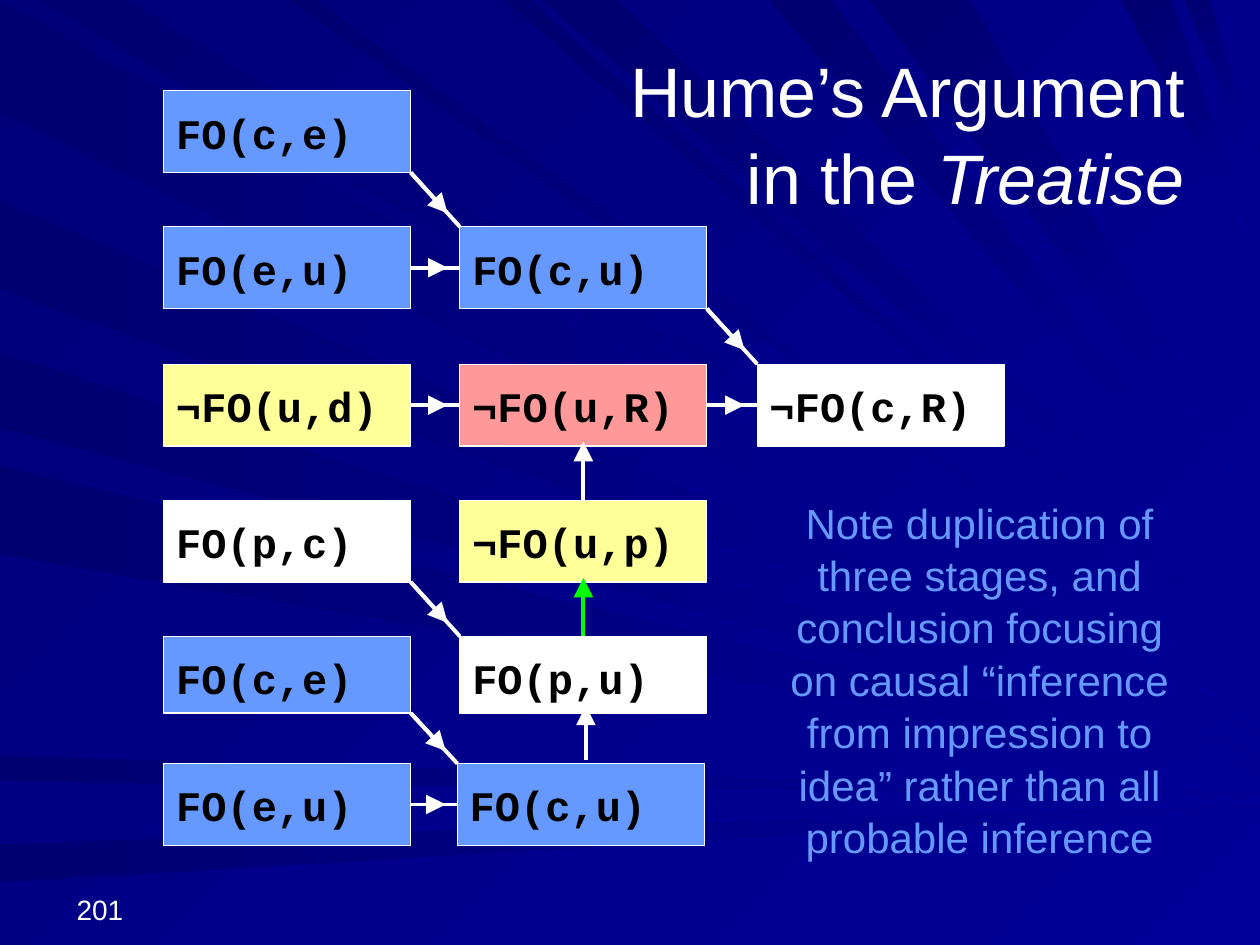
from lxml import etree
from pptx import Presentation
from pptx.dml.color import RGBColor
from pptx.enum.shapes import MSO_CONNECTOR, MSO_SHAPE
from pptx.enum.text import MSO_ANCHOR, PP_ALIGN
from pptx.oxml.ns import qn
from pptx.util import Inches, Pt

RECT, STRAIGHT = MSO_SHAPE.RECTANGLE, MSO_CONNECTOR.STRAIGHT
LEFT, CENTER, RIGHT = PP_ALIGN.LEFT, PP_ALIGN.CENTER, PP_ALIGN.RIGHT
TOP, MIDDLE, BOTTOM = MSO_ANCHOR.TOP, MSO_ANCHOR.MIDDLE, MSO_ANCHOR.BOTTOM

WHITE, BLACK, BLUE = "FFFFFF", "000000", "6699FF"
YELLOW, PINK, GREEN = "FFFF99", "FF9999", "00FF00"
DARK, NAVY, ROYAL = "000070", "000078", "000099"

# Grid of the diagram, in inches
COLS = (1.3, 3.65, 6.01)
ROWS = (0.72, 1.8, 2.89, 3.97, 5.05, 6.06)
BOX_W, BOX_H, LOW_BOX_H = 1.96, 0.65, 0.61
HEAD_SHARE = 0.75   # place of the head along most arrows
UP_SHARE = 1.08     # upward heads reach just into the box

# Boxes: (column, row) -> wording, fill
BOXES = {
    (0, 0): ("FO(c,e)", BLUE),
    (0, 1): ("FO(e,u)", BLUE),
    (1, 1): ("FO(c,u)", BLUE),
    (0, 2): ("¬FO(u,d)", YELLOW),
    (1, 2): ("¬FO(u,R)", PINK),
    (2, 2): ("¬FO(c,R)", WHITE),
    (0, 3): ("FO(p,c)", WHITE),
    (1, 3): ("¬FO(u,p)", YELLOW),
    (0, 4): ("FO(c,e)", BLUE),
    (1, 4): ("FO(p,u)", WHITE),
    (0, 5): ("FO(e,u)", BLUE),
    (1, 5): ("FO(c,u)", BLUE),
}
ACROSS = [(0, 1), (0, 2), (1, 2), (0, 5)]
DIAGONAL = [(0, 0), (1, 1), (0, 3), (0, 4)]
UPWARD = [((1, 3), WHITE), ((1, 4), GREEN)]

# Background rays: span on the left or top edge, height of the tip at the right
LEFT_RAYS = [(0, 0.9, 5.7), (1.6, 2.3, 5.8), (2.8, 3.4, 6), (3.7, 4.4, 6.1),
             (6, 6.2, 6.3), (6.7, 7, 6.4)]
TOP_RAYS = [(0.3, 1, 5.6), (2.3, 2.5, 5.5), (4, 4.2, 5.2), (4.3, 4.9, 4.9),
            (6.1, 6.6, 4.5), (6.9, 7.7, 4.1), (8.9, 9.3, 2.1), (9.4, 9.6, 1.4)]


def rgb(value):
    return RGBColor.from_string(value)


def paint(fill, first, last, angle=0):
    """Fill solid, or as a gradient whose angle runs clockwise."""
    if first == last:
        fill.solid()
        fill.fore_color.rgb = rgb(first)
        return
    fill.gradient()
    fill.gradient_angle = (360 - angle) % 360
    for stop, color in zip(fill.gradient_stops, (first, last)):
        stop.color.rgb = rgb(color)


def add_ray(slide, prs, start, end, tip, angle):
    corners = [(Inches(x), Inches(y)) for x, y in (start, end)]
    builder = slide.shapes.build_freeform(*corners[0])
    builder.add_line_segments([corners[1], (prs.slide_width, Inches(tip))], close=True)
    sp = builder.convert_to_shape()
    sp.shadow.inherit = False
    sp.line.fill.background()
    paint(sp.fill, DARK, ROYAL, angle)


def format_text(p, size, color, font="Arial", align=LEFT, spacing=None, bold=None):
    p.alignment = align
    p.line_spacing = spacing
    for r in p.runs:
        r.font.name, r.font.size, r.font.bold = font, Pt(size), bold
        r.font.color.rgb = rgb(color)


def add_box(slide, col, row, text, color):
    left = COLS[col] - (0.02 if (col, row) == (1, 5) else 0)
    height = LOW_BOX_H if row == 4 else BOX_H
    sp = slide.shapes.add_shape(
        RECT, Inches(left), Inches(ROWS[row]), Inches(BOX_W), Inches(height))
    sp.shadow.inherit = False
    paint(sp.fill, color, color)
    sp.line.color.rgb, sp.line.width = rgb(WHITE), Pt(0.75)
    tf = sp.text_frame
    tf.text, tf.word_wrap, tf.vertical_anchor = text, True, TOP
    format_text(tf.paragraphs[0], 24, BLACK, "Courier New", spacing=1.2, bold=True)
    return sp


def add_line(slide, start, end, color, head=False):
    line = slide.shapes.add_connector(STRAIGHT, *start, *end)
    line.line.color.rgb, line.line.width = rgb(color), Pt(2.25)
    sp_pr = line._element.spPr
    if head:
        etree.SubElement(sp_pr.find(qn("a:ln")), qn("a:tailEnd"),
                         type="triangle", w="lg", len="lg")
    etree.SubElement(sp_pr, qn("a:effectLst"))
    return line


def add_arrow(slide, start, end, share=HEAD_SHARE, color=WHITE):
    """A full line with a headed line over it; returns the full line."""
    line = add_line(slide, start, end, color)
    tip = [int(a + (b - a) * share) for a, b in zip(start, end)]
    add_line(slide, start, tip, color, head=True)
    return line


def join(slide, source, source_side, target, target_side, **style):
    def middle(sp, side):
        x_share, y_share = ((0.5, 0), (0, 0.5), (0.5, 1), (1, 0.5))[side]
        return int(sp.left + sp.width * x_share), int(sp.top + sp.height * y_share)

    line = add_arrow(slide, middle(source, source_side), middle(target, target_side), **style)
    line.begin_connect(source, source_side)
    line.end_connect(target, target_side)


def add_text(slide, area, text, size, color, align, anchor, spacing=None, italic=""):
    tf = slide.shapes.add_textbox(*map(Inches, area)).text_frame
    tf.word_wrap, tf.vertical_anchor = True, anchor
    p = tf.paragraphs[0]
    p.text = text
    if italic:
        r = p.add_run()
        r.text, r.font.italic = italic, True
    format_text(p, size, color, align=align, spacing=spacing)


def main():
    prs = Presentation()
    prs.slide_width, prs.slide_height = Inches(10), Inches(7.5)
    slide = prs.slides.add_slide(prs.slide_layouts[6])

    # Background
    paint(slide.background.fill, NAVY, ROYAL, 45)
    for a, b, tip in LEFT_RAYS:
        add_ray(slide, prs, (0, a), (0, b), tip, 0)
    for a, b, tip in TOP_RAYS:
        add_ray(slide, prs, (a, 0), (b, 0), tip, 45)

    # Boxes and the arrows between them
    boxes = {cell: add_box(slide, *cell, *look) for cell, look in BOXES.items()}
    for col, row in ACROSS:
        join(slide, boxes[col, row], 3, boxes[col + 1, row], 1)
    for col, row in DIAGONAL:
        sp, target = boxes[col, row], boxes[col + 1, row + 1]
        add_arrow(slide, (sp.left + sp.width, sp.top + sp.height), (target.left, target.top))
    for (col, row), color in UPWARD:
        join(slide, boxes[col, row], 0, boxes[col, row - 1], 2, share=UP_SHARE, color=color)
    add_arrow(slide, (Inches(4.65), Inches(6.03)), (Inches(4.65), Inches(5.6)), share=1)

    # Title, note and slide number
    add_text(slide, (4.53, 0.3, 4.97, 1.48), "Hume’s Argument in the ", 40, WHITE,
             RIGHT, MIDDLE, spacing=1.04, italic="Treatise")
    add_text(slide, (6.06, 3.79, 3.43, 3.19),
             "Note duplication of three stages, and conclusion focusing on causal "
             "“inference from impression to idea” rather than all probable inference",
             24, BLUE, CENTER, MIDDLE, spacing=1.04)
    add_text(slide, (0.51, 6.9, 2.33, 0.5), "201", 16, WHITE, LEFT, BOTTOM)

    prs.save("out.pptx")


if __name__ == "__main__":
    main()
